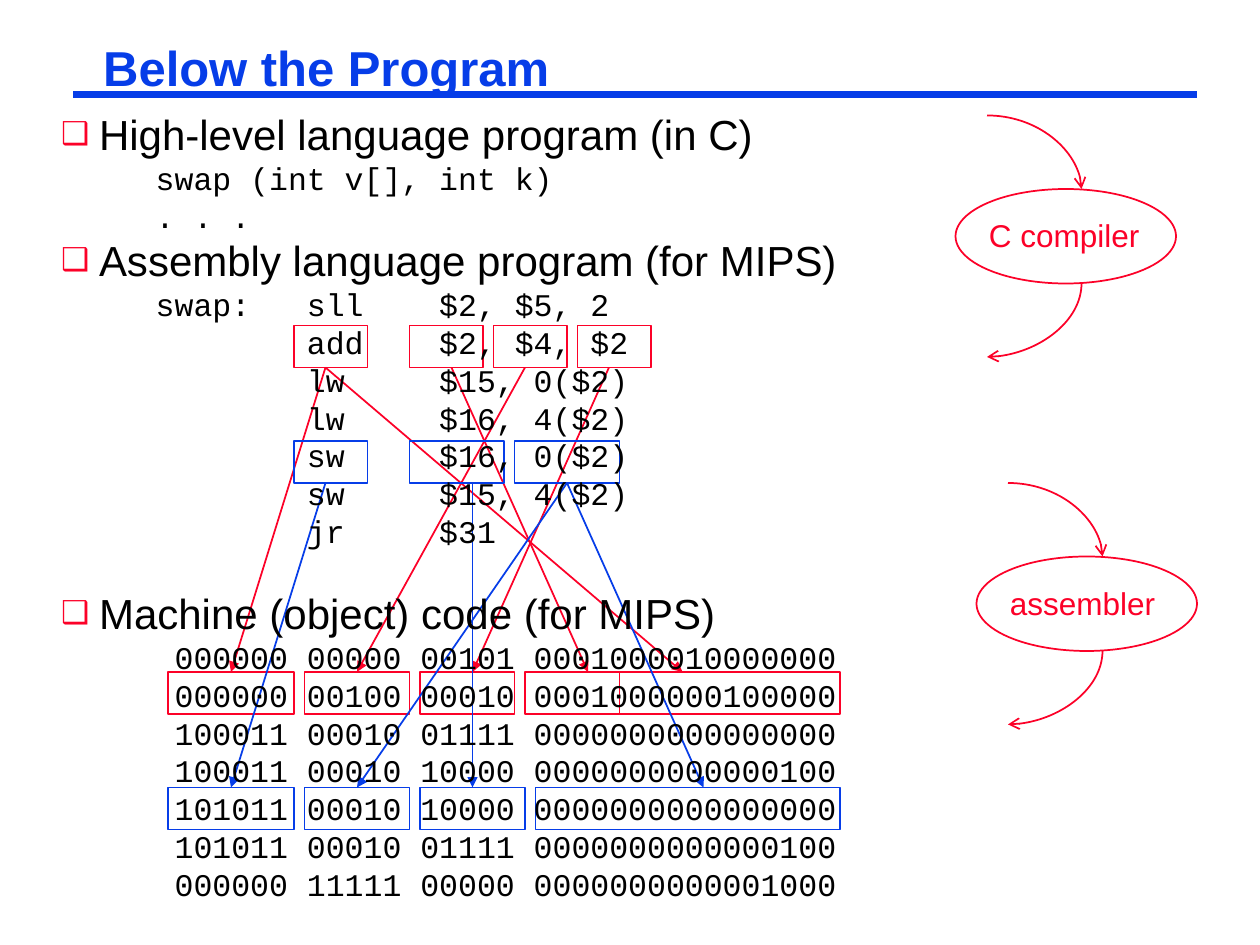
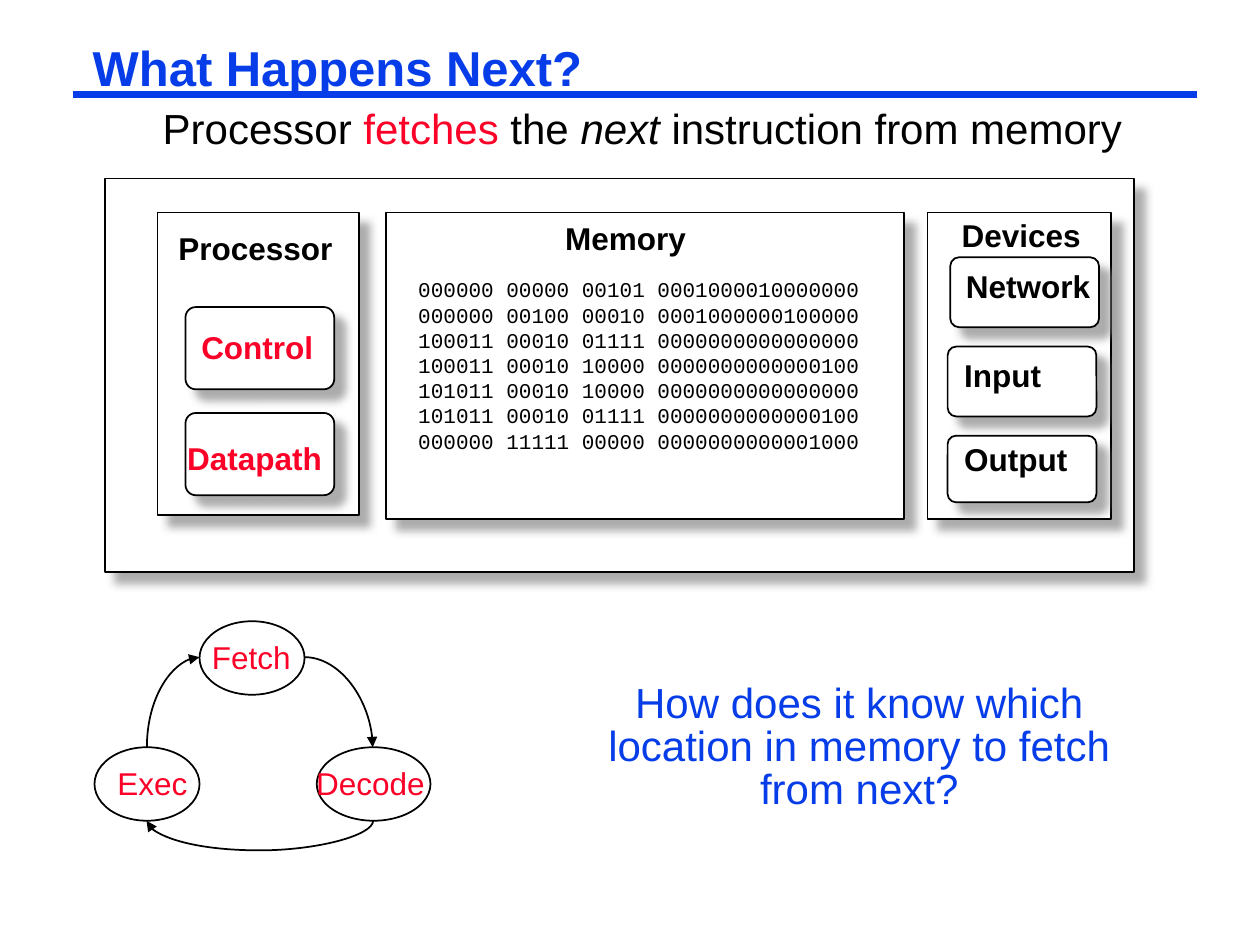
"""Build two slides on how a program becomes machine code and runs."""
from dataclasses import dataclass

from lxml import etree
from pptx import Presentation
from pptx import util as u
from pptx.dml.color import RGBColor
from pptx.enum import shapes, text
from pptx.oxml.ns import qn


@dataclass(frozen=True)
class Theme:
    """Colours, fonts and type sizes of the deck."""
    blue: str = "063DE8"
    red: str = "FC0128"
    black: str = "000000"
    white: str = "FFFFFF"
    shade: str = "919191"
    sans: str = "Arial"
    mono: str = "Courier New"
    title: int = 28
    heading: int = 24
    label: int = 18
    small: int = 12
    leading: float = 1.2
    tight: float = 0.85


THEME = Theme()
SHAPE = shapes.MSO_SHAPE
CONNECTOR = shapes.MSO_CONNECTOR
ALIGN = text.PP_ALIGN

C_CODE = ["swap (int v[], int k)", ". . ."]
ASSEMBLY = [
    "swap:   sll    $2, $5, 2",
    "        add    $2, $4, $2",
    "        lw     $15, 0($2)",
    "        lw     $16, 4($2)",
    "        sw     $16, 0($2)",
    "        sw     $15, 4($2)",
    "        jr     $31",
]
MACHINE_CODE = [
    "000000 00000 00101 0001000010000000",
    "000000 00100 00010 0001000000100000",
    "100011 00010 01111 0000000000000000",
    "100011 00010 10000 0000000000000100",
    "101011 00010 10000 0000000000000000",
    "101011 00010 01111 0000000000000100",
    "000000 11111 00000 0000000000001000",
]


def add_xml(parent, tag, **attributes):
    """Append a DrawingML element with the given attributes."""
    child = etree.SubElement(parent, qn(f"a:{tag}"))
    for name, value in attributes.items():
        child.set(name, str(value))
    return child


def write(paragraph, content, size=THEME.label, color=THEME.black, font=THEME.sans,
          bold=False, align=ALIGN.LEFT, spacing=None, before=0, indent=0, bullet=None):
    """Fill a paragraph with a string or with (string, format) runs."""
    properties = paragraph._p.get_or_add_pPr()
    properties.set("marL", str(u.Pt(indent)))
    properties.set("indent", str(u.Pt(-indent if bullet else 0)))
    if bullet:
        add_xml(add_xml(properties, "buClr"), "srgbClr", val=THEME.red)
        add_xml(properties, "buSzPct", val=75000)
        add_xml(properties, "buChar", char=bullet)
    else:
        add_xml(properties, "buNone")
    paragraph.alignment = align
    paragraph.line_spacing = spacing or u.Pt(size * THEME.leading)
    paragraph.space_before = u.Pt(before)
    paragraph.space_after = u.Pt(0)
    runs = [(content, {})] if isinstance(content, str) else content
    for words, accent in runs:
        run = paragraph.add_run()
        run.text = words
        run.font.name = font
        run.font.size = u.Pt(size)
        run.font.bold = bold
        run.font.italic = accent.get("italic", False)
        run.font.color.rgb = RGBColor.from_string(accent.get("color", color))


class Deck:
    """Hold the presentation, its style and the current slide."""

    def __init__(self, theme):
        """Start an empty deck."""
        self.theme = theme
        self.file = Presentation()
        self.file.slide_width, self.file.slide_height = u.Pt(720), u.Pt(540)
        self.slide = None

    def add_slide(self, heading, left, layout):
        """Open a slide and set its title."""
        self.slide = self.file.slides.add_slide(self.file.slide_layouts[layout])
        title = self.slide.shapes.title
        self.place(title, left, 24, 290, 33)
        self.set_frame(title.text_frame, wrap=False)
        write(title.text_frame.paragraphs[0], heading, size=self.theme.title,
              color=self.theme.blue, bold=True, spacing=0.87)

    def add_master_rule(self):
        """Draw the title rule and move it to the slide master."""
        rule = self.line((42, 54), (684, 54), self.theme.blue, width=4.5)
        self.file.slide_master.shapes.element.append(rule.element)

    def place(self, shape, x, y, width, height):
        """Set position and size in points."""
        shape.left, shape.top = u.Pt(x), u.Pt(y)
        shape.width, shape.height = u.Pt(width), u.Pt(height)

    def set_frame(self, frame, wrap=True, inset=(5, 2.2)):
        """Set margins, anchor and wrapping of a text frame."""
        frame.margin_left = frame.margin_right = u.Pt(inset[0])
        frame.margin_top = frame.margin_bottom = u.Pt(inset[1])
        frame.vertical_anchor = text.MSO_ANCHOR.TOP
        frame.auto_size = text.MSO_AUTO_SIZE.NONE
        frame.word_wrap = wrap

    def fill_frame(self, frame, paragraphs):
        """Write (content, format) pairs as the paragraphs of a frame."""
        for index, (content, style) in enumerate(paragraphs):
            paragraph = frame.add_paragraph() if index else frame.paragraphs[0]
            write(paragraph, content, **style)

    def body(self, paragraphs, x, y, width, height):
        """Fill the body placeholder and keep it in front."""
        outline = self.slide.placeholders[1]
        self.place(outline, x, y, width, height)
        self.set_frame(outline.text_frame)
        self.fill_frame(outline.text_frame, paragraphs)
        self.slide.shapes.element.append(outline.element)

    def text_box(self, paragraphs, x, y, width, height, wrap=True, inset=(5, 2.2)):
        """Add a text box of (content, format) pairs."""
        box = self.slide.shapes.add_textbox(*map(u.Pt, (x, y, width, height)))
        self.set_frame(box.text_frame, wrap, inset)
        self.fill_frame(box.text_frame, paragraphs)

    def label(self, words, x, y, width, color=THEME.black):
        """Add a bold one-line label."""
        style = dict(color=color, bold=True, spacing=self.theme.tight)
        self.text_box([(words, style)], x, y, width, 22.3, wrap=False)

    def outline(self, kind, x, y, width, height, color):
        """Add an unfilled preset shape."""
        shape = self.slide.shapes.add_shape(kind, *map(u.Pt, (x, y, width, height)))
        shape.shadow.inherit = False
        shape.fill.background()
        shape.line.color.rgb = RGBColor.from_string(color)
        shape.line.width = u.Pt(1)
        return shape

    def panel(self, x, y, width, height, rounded=False):
        """Add a white panel with a drop shadow."""
        kind = SHAPE.ROUNDED_RECTANGLE if rounded else SHAPE.RECTANGLE
        shape = self.outline(kind, x, y, width, height, self.theme.black)
        if rounded:
            shape.adjustments[0] = 0.125
        shape.fill.solid()
        shape.fill.fore_color.rgb = RGBColor.from_string(self.theme.white)
        effects = shape.element.spPr.find(qn("a:effectLst"))
        shadow = add_xml(effects, "outerShdw", blurRad=u.Pt(5), dist=u.Pt(8.5),
                         dir=2700000, algn="ctr", rotWithShape=0)
        add_xml(add_xml(shadow, "srgbClr", val=self.theme.shade), "alpha", val=75000)

    def bubble(self, words, x, y, width, height, label, color):
        """Add an ellipse with a red label at (left, top, width)."""
        self.outline(SHAPE.OVAL, x, y, width, height, color)
        style = dict(color=self.theme.red, spacing=1.0)
        self.text_box([(words, style)], *label, 29, wrap=False, inset=(7.2, 3.6))

    def line(self, start, end, color, width=1, head=None, tail=None,
             kind=CONNECTOR.STRAIGHT):
        """Add a connector with optional arrowheads."""
        connector = self.slide.shapes.add_connector(kind, *map(u.Pt, (*start, *end)))
        connector.line.color.rgb = RGBColor.from_string(color)
        connector.line.width = u.Pt(width)
        properties = connector.element.spPr
        for tag, arrow in (("headEnd", head), ("tailEnd", tail)):
            if arrow:
                add_xml(properties.find(qn("a:ln")), tag, type=arrow)
        add_xml(properties, "effectLst")
        return connector

    def bend(self, start, end, color, **arrows):
        """Add a quarter curve that leaves its start horizontally."""
        curve = self.line(start, end, color, kind=CONNECTOR.CURVE, **arrows)
        curve.element.spPr.find(qn("a:prstGeom")).set("prst", "curvedConnector2")

    def sag(self, center, span, depth, color):
        """Add an arrow that runs right to left and hangs down by depth."""
        thickness = 0.12
        x, y = center
        curve = self.line((x - thickness / 2, y - span / 2),
                          (x + thickness / 2, y + span / 2),
                          color, tail="triangle", kind=CONNECTOR.CURVE)
        properties = curve.element.spPr
        properties.find(qn("a:xfrm")).set("rot", "5400000")
        guides = properties.find(qn("a:prstGeom")).find(qn("a:avLst"))
        add_xml(guides, "gd", name="adj1", fmla=f"val {round(depth / thickness * 100000)}")


def translation_step(deck, name, x, y, label_width):
    """Draw a translator with the curves into and out of it."""
    red = deck.theme.red
    deck.bubble(name, x, y, 126, 54, (x + 12, y + 12, label_width), red)
    deck.bend((x + 18, y - 42), (x + 72, y), red, tail="arrow")
    deck.bend((x + 18, y + 96), (x + 72, y + 54), red, head="arrow")


def trace_encoding(deck, color, source_top, field_top, operands, fields, links):
    """Frame operands and bit fields and link them with arrows."""
    height = 24
    for top, spans in ((source_top, operands), (field_top, fields)):
        for x, width in spans:
            deck.outline(SHAPE.RECTANGLE, x, top, width, height, color)
    for source, target in links:
        deck.line((source, source_top + height), (target, field_top), color,
                  tail="triangle")


def build_translation(deck):
    """Build the slide on the levels of program code."""
    theme = deck.theme
    deck.add_slide("Below the Program", 54, layout=1)
    deck.add_master_rule()
    translation_step(deck, "C compiler", 546, 108, 101)
    translation_step(deck, "assembler", 558, 318, 97)
    trace_encoding(deck, theme.red, 186, 384,
                   [(168, 42), (234, 42), (282, 42), (330, 42)],
                   [(96, 72), (174, 60), (240, 54), (300, 54), (354, 126)],
                   [(186, 132), (186, 390), (258, 336), (300, 204), (348, 270)])
    trace_encoding(deck, theme.blue, 252, 450,
                   [(168, 42), (234, 54), (294, 60)],
                   [(96, 72), (174, 60), (240, 60), (306, 174)],
                   [(186, 132), (270, 270), (324, 204), (324, 402)])
    levels = [
        ("High-level language program (in C)", 0, C_CODE, 54),
        ("Assembly language program (for MIPS)", 0, ASSEMBLY, 54),
        ("Machine (object) code (for MIPS)", 21.6, MACHINE_CODE, 64.8),
    ]
    paragraphs = []
    for heading, before, code, indent in levels:
        paragraphs.append((heading, dict(size=theme.heading, before=before,
                                         indent=21.6, bullet="❑")))
        paragraphs += [(row, dict(font=theme.mono, indent=indent)) for row in code]
    deck.body(paragraphs, 30, 60, 618, 458)


def build_execution(deck):
    """Build the slide on the fetch cycle."""
    theme = deck.theme
    deck.add_slide("What Happens Next?", 48, layout=5)
    for panel in ((60, 102, 588, 225), (90, 121.5, 115, 173),
                  (220.5, 121.5, 296, 175), (530, 121.5, 105, 175)):
        deck.panel(*panel)
    for unit in ((106, 175.5, 85, 47), (106, 236, 85, 47), (543, 147, 85, 40),
                 (541.5, 198, 85, 40), (541.5, 249, 85, 38)):
        deck.panel(*unit, rounded=True)
    for name, x, y, width in (("Processor", 97, 132, 98), ("Memory", 318, 126, 79),
                              ("Devices", 544.5, 124.5, 78), ("Network", 547, 153.5, 81),
                              ("Input", 546, 204.5, 54), ("Output", 546, 252.5, 69)):
        deck.label(name, x, y, width)
    deck.label("Control", 110, 188.6, 74, theme.red)
    deck.label("Datapath", 102, 252, 87, theme.red)
    code_style = dict(size=theme.small, font=theme.mono)
    deck.text_box([(row, code_style) for row in MACHINE_CODE], 234, 156, 270, 104)

    for name, x, y, width, label in (("Fetch", 114, 355, 60, (114, 361, 60)),
                                     ("Decode", 181, 427, 65, (173.5, 433, 76)),
                                     ("Exec", 54, 427, 60, (60, 433, 55))):
        deck.bubble(name, x, y, width, 42, label, theme.black)
    deck.bend((174, 375.5), (213, 427), theme.black, tail="triangle")
    deck.bend((114, 375.5), (84, 427), theme.black, head="triangle")
    deck.sag((148.5, 469), 129.5, 18, theme.black)

    lead = [("Processor ", {}), ("fetches", {"color": theme.red}), (" the ", {}),
            ("next", {"italic": True}), (" instruction from memory", {})]
    large = dict(size=theme.heading, spacing=theme.tight)
    deck.text_box([(lead, large)], 88, 60.5, 558, 29, wrap=False)
    question = "How does it know which location in memory to fetch from next?"
    deck.text_box([(question, dict(large, color=theme.blue, align=ALIGN.CENTER))],
                  338, 389, 306, 78)


def main():
    """Build and save the deck."""
    deck = Deck(THEME)
    build_translation(deck)
    build_execution(deck)
    deck.file.save("out.pptx")


if __name__ == "__main__":
    main()
